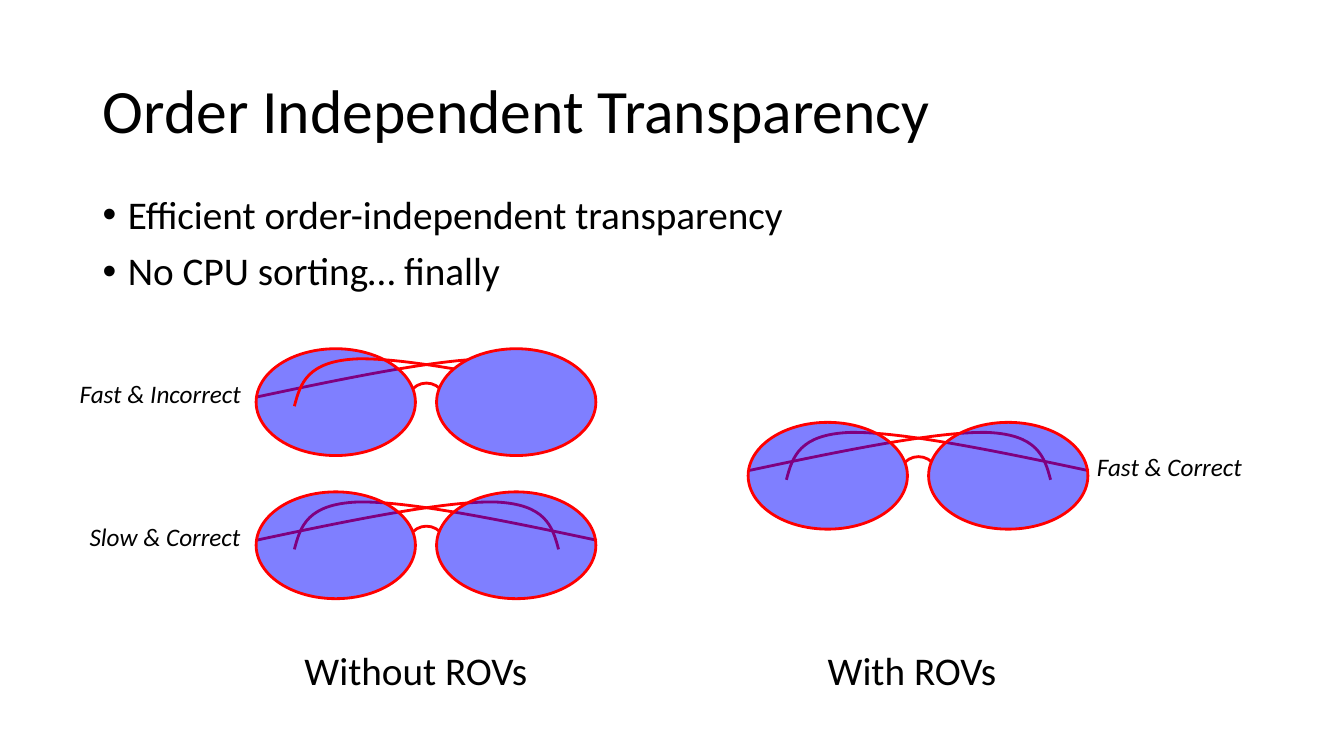
from dataclasses import dataclass

from lxml import etree
from pptx import Presentation
from pptx.dml.color import RGBColor
from pptx.enum.shapes import MSO_SHAPE
from pptx.enum.text import MSO_ANCHOR, MSO_AUTO_SIZE, PP_ALIGN
from pptx.oxml.ns import qn
from pptx.shapes.base import BaseShape
from pptx.shapes.group import GroupShape
from pptx.slide import Slide
from pptx.util import Inches, Pt

OVAL, ARC = MSO_SHAPE.OVAL, MSO_SHAPE.ARC
TOP, MIDDLE = MSO_ANCHOR.TOP, MSO_ANCHOR.MIDDLE
LEFT, CENTER = PP_ALIGN.LEFT, PP_ALIGN.CENTER
GROW = MSO_AUTO_SIZE.SHAPE_TO_FIT_TEXT

BLACK = RGBColor(0x00, 0x00, 0x00)
RED = RGBColor(0xFF, 0x00, 0x00)
BLUE = RGBColor(0x00, 0x00, 0xFF)
PALE = RGBColor(0x7F, 0x7F, 0xFF)
FONT = "Calibri"

# Glasses, measured from the top left of the left lens
SPAN = 3.38
LENS_W, LENS_H, PITCH = 1.58, 1.06, 1.79
TEMPLE = [(0, 0.48), (0.94, 0.28), (1.87, 0.09), (2.37, 0.1),
          (2.87, 0.12), (2.94, 0.34), (3, 0.57)]


@dataclass
class Text:
    lines: list[str]
    box: tuple[float, float, float, float]
    size: int
    align: PP_ALIGN = LEFT
    anchor: MSO_ANCHOR = TOP
    before: int = 0
    spacing: float = 0.9
    bullet: bool = False
    label: bool = False


@dataclass
class Glasses:
    left: float
    top: float
    order: tuple[str, ...]  # parts from back to front
    solid: bool = False     # right lens hides what lies behind it


SORTED = ("right temple", "left temple", "left lens", "right lens", "bridge")
MIXED = ("left temple", "left lens", "right temple", "right lens", "bridge")

TEXTS = [
    Text(["Order Independent Transparency"], (0.92, 0.4, 11.5, 1.45), 44,
         anchor=MIDDLE),
    Text(["Efficient order-independent transparency",
          "No CPU sorting… finally"],
         (0.92, 1.89, 8.99, 4.03), 28, before=10, bullet=True),
    Text(["Without ROVs"], (2.86, 6.42, 2.53, 0.54), 28, CENTER, before=10),
    Text(["With ROVs"], (7.78, 6.42, 2.53, 0.54), 28, CENTER, before=10),
    Text(["Fast & Incorrect"], (0.69, 3.7, 1.82, 0.4), 18, spacing=1, label=True),
    Text(["Slow & Correct"], (0.79, 5.12, 1.71, 0.4), 18, spacing=1, label=True),
    Text(["Fast & Correct"], (10.78, 4.43, 1.65, 0.4), 18, spacing=1, label=True),
]

PAIRS = [
    Glasses(7.42, 4.19, SORTED),
    Glasses(2.54, 3.46, MIXED, solid=True),
    Glasses(2.54, 4.88, SORTED),
]


def add_text(slide: Slide, item: Text) -> None:
    box = slide.shapes.add_textbox(*(Inches(n) for n in item.box))
    frame = box.text_frame
    frame.word_wrap = not item.label
    frame.vertical_anchor = item.anchor
    if item.label:
        frame.auto_size = GROW
    for i, line in enumerate(item.lines):
        para = frame.add_paragraph() if i else frame.paragraphs[0]
        para.alignment = item.align
        para.line_spacing = item.spacing
        para.space_before = Pt(item.before)
        if item.bullet:
            props = para._p.get_or_add_pPr()
            props.set("marL", str(Inches(0.25)))
            props.set("indent", str(-Inches(0.25)))
            etree.SubElement(props, qn("a:buFont")).set("typeface", "Arial")
            etree.SubElement(props, qn("a:buChar")).set("char", "•")
        run = para.add_run()
        run.text = line
        run.font.name = FONT
        run.font.size = Pt(item.size)
        run.font.color.rgb = BLACK
        run.font.italic = item.label


def outline(shape: BaseShape) -> None:
    shape.shadow.inherit = False
    shape.fill.background()
    shape.line.color.rgb = RED
    shape.line.width = Pt(2)


def add_temple(group: GroupShape, pair: Glasses, flip: bool) -> None:
    spots = [(Inches(pair.left + (SPAN - x if flip else x)), Inches(pair.top + y))
             for x, y in TEMPLE]
    pen = group.shapes.build_freeform(*spots[0])
    pen.add_line_segments(spots[1:], close=False)
    shape = pen.convert_to_shape()
    outline(shape)
    # Turn each three line segments into one Bezier curve
    steps = list(shape._element.iter(qn("a:lnTo")))
    for i in range(0, len(steps), 3):
        curve = etree.Element(qn("a:cubicBezTo"))
        steps[i].addprevious(curve)
        for step in steps[i:i + 3]:
            curve.append(step[0])
            step.getparent().remove(step)


def add_lens(group: GroupShape, left: float, top: float, solid: bool) -> None:
    lens = group.shapes.add_shape(
        OVAL, Inches(left), Inches(top), Inches(LENS_W), Inches(LENS_H))
    outline(lens)
    lens.fill.solid()
    lens.fill.fore_color.rgb = PALE if solid else BLUE
    if not solid:
        tint = lens._element.spPr.find(qn("a:solidFill"))[0]
        etree.SubElement(tint, qn("a:alpha")).set("val", "50000")


def add_bridge(group: GroupShape, pair: Glasses) -> None:
    arc = group.shapes.add_shape(
        ARC, Inches(pair.left + 1.5), Inches(pair.top + 0.34),
        Inches(0.38), Inches(0.38))
    arc.rotation = 315
    outline(arc)


def add_pair(slide: Slide, pair: Glasses) -> None:
    group = slide.shapes.add_group_shape()
    for part in pair.order:
        right = part.startswith("right")
        if part.endswith("temple"):
            add_temple(group, pair, right)
        elif part.endswith("lens"):
            shift = PITCH if right else 0
            add_lens(group, pair.left + shift, pair.top, right and pair.solid)
        else:
            add_bridge(group, pair)


def main() -> None:
    deck = Presentation()
    deck.slide_width, deck.slide_height = Inches(13.33), Inches(7.5)
    slide = deck.slides.add_slide(deck.slide_layouts[6])
    for item in TEXTS:
        add_text(slide, item)
    for pair in PAIRS:
        add_pair(slide, pair)
    deck.save("out.pptx")


if __name__ == "__main__":
    main()
